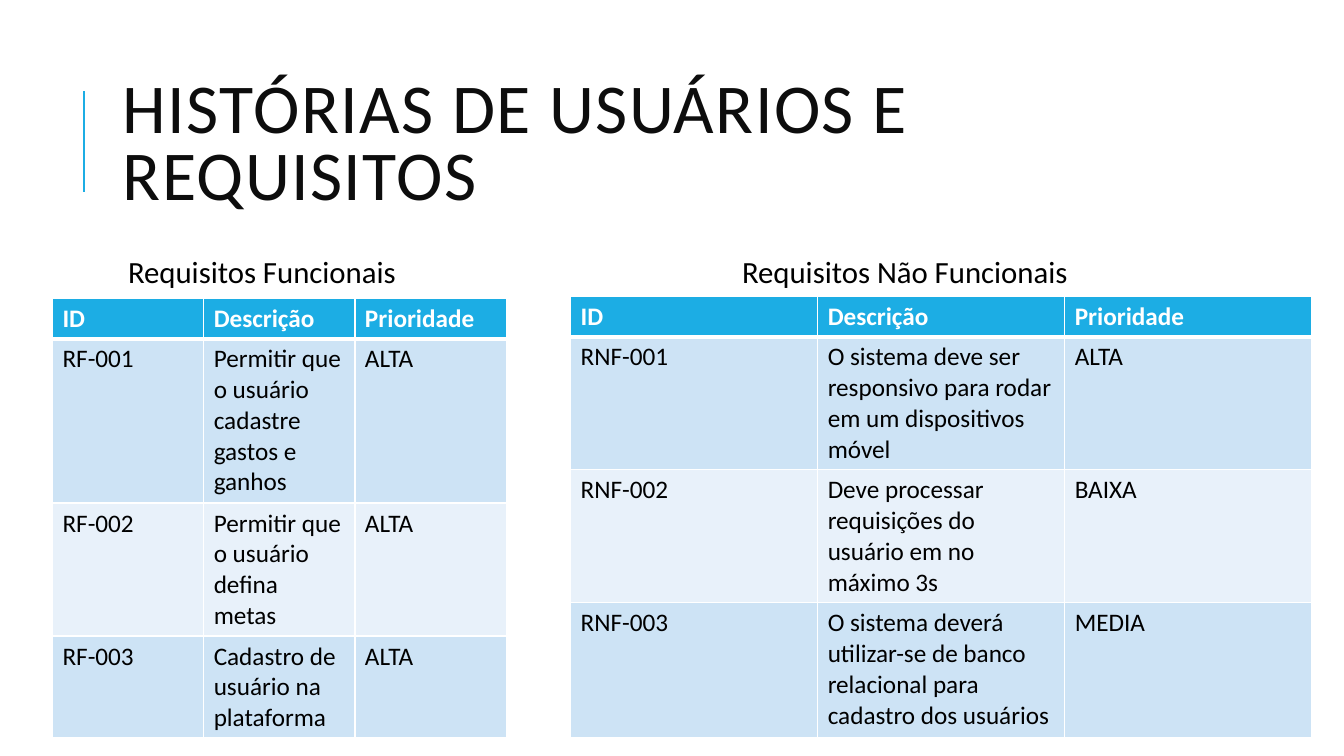
from lxml import etree
from pptx import Presentation
from pptx.dml.color import RGBColor
from pptx.enum import shapes, text
from pptx.oxml import ns
from pptx.util import Inches, Pt

FONT = "Calibri"
BLUE, WHITE, BLACK = "1CADE4", "FFFFFF", "000000"
BANDS = ["CDE3F5", "E8F1FA"]
HEAD = ["ID", "Descrição", "Prioridade"]
NEEDS = [
    ["RF-001", "Permitir que o usuário cadastre gastos e ganhos", "ALTA"],
    ["RF-002", "Permitir que o usuário defina metas", "ALTA"],
    ["RF-003", "Cadastro de usuário na plataforma", "ALTA"],
]
LIMITS = [
    ["RNF-001", "O sistema deve ser responsivo para rodar em um dispositivos móvel", "ALTA"],
    ["RNF-002", "Deve processar requisições do usuário em no máximo 3s", "BAIXA"],
    ["RNF-003", "O sistema deverá utilizar-se de banco relacional para cadastro dos usuários", "MEDIA"],
]


def paint(color, tone):
    """Set a colour format from a hex string."""
    color.rgb = RGBColor.from_string(tone)


def write(frame, words, size=18, tone=BLACK, bold=False, lead=None, gap=None):
    """Put formatted text in a text frame."""
    para = frame.paragraphs[0]
    if lead:
        para.line_spacing = lead
    run = para.add_run()
    run.text = words
    run.font.name, run.font.size, run.font.bold = FONT, Pt(size), bold
    paint(run.font.color, tone)
    if gap:
        run.font._element.set("spc", str(gap))


def label(slide, words, left, top, width, height, inset=0.1, anchor="TOP", **form):
    """Add a wrapping text box."""
    frame = slide.shapes.add_textbox(
        Inches(left), Inches(top), Inches(width), Inches(height)).text_frame
    frame.word_wrap = True
    frame.margin_left = frame.margin_right = Inches(inset)
    frame.margin_top = frame.margin_bottom = Inches(0.05)
    frame.vertical_anchor = text.MSO_ANCHOR[anchor]
    write(frame, words, **form)


def rule(slide, x, top, end):
    """Add the vertical accent line."""
    line = slide.shapes.add_connector(
        shapes.MSO_CONNECTOR.STRAIGHT, Inches(x), Inches(end), Inches(x), Inches(top))
    paint(line.line.color, BLUE)
    line.line.width = Pt(1.5)
    etree.SubElement(line._element.spPr, ns.qn("a:effectLst"))


def edge(cell, side, width):
    """Add a white border to one side of a cell."""
    line = etree.SubElement(
        cell._tc.get_or_add_tcPr(), ns.qn("a:ln" + side), w=str(Pt(width)))
    fill = etree.SubElement(line, ns.qn("a:solidFill"))
    etree.SubElement(fill, ns.qn("a:srgbClr"), val=WHITE)


def grid(slide, rows, left, top, wide, highs):
    """Add a banded table with a header row."""
    rows = [HEAD] + rows
    table = slide.shapes.add_table(
        len(rows), len(HEAD), Inches(left), Inches(top),
        Inches(wide * len(HEAD)), Inches(sum(highs))).table
    for col in table.columns:
        col.width = Inches(wide)
    for r, (row, high) in enumerate(zip(rows, highs)):
        table.rows[r].height = Inches(high)
        for c, words in enumerate(row):
            cell = table.cell(r, c)
            for side in "LRTB":
                edge(cell, side, 3 if (r, side) in [(0, "B"), (1, "T")] else 1)
            cell.fill.solid()
            paint(cell.fill.fore_color, BANDS[(r - 1) % 2] if r else BLUE)
            write(cell.text_frame, words, tone=BLACK if r else WHITE, bold=r == 0)


def main():
    """Build and save the slide."""
    deck = Presentation()
    deck.slide_width, deck.slide_height = Inches(13.33), Inches(7.5)
    slide = deck.slides.add_slide(deck.slide_layouts[6])
    rule(slide, 0.83, 0.9, 1.9)
    label(slide, "HISTÓRIAS DE USUÁRIOS E REQUISITOS", 1.12, 0.64, 10.63, 1.64,
          anchor="MIDDLE", size=50, tone="0D0D0D", lead=0.8, gap=100)
    for words, left in [("Requisitos Funcionais", 1.22), ("Requisitos Não Funcionais", 7.31)]:
        label(slide, words, left, 2.5, 4, 0.45, inset=0.05, size=22, lead=0.9)
    grid(slide, NEEDS, 0.52, 2.96, 1.5, [0.4, 1.63, 1.32, 1.01])
    grid(slide, LIMITS, 5.66, 2.94, 2.45, [0.4, 1.32, 1.32, 1.34])
    deck.save("out.pptx")


if __name__ == "__main__":
    main()
